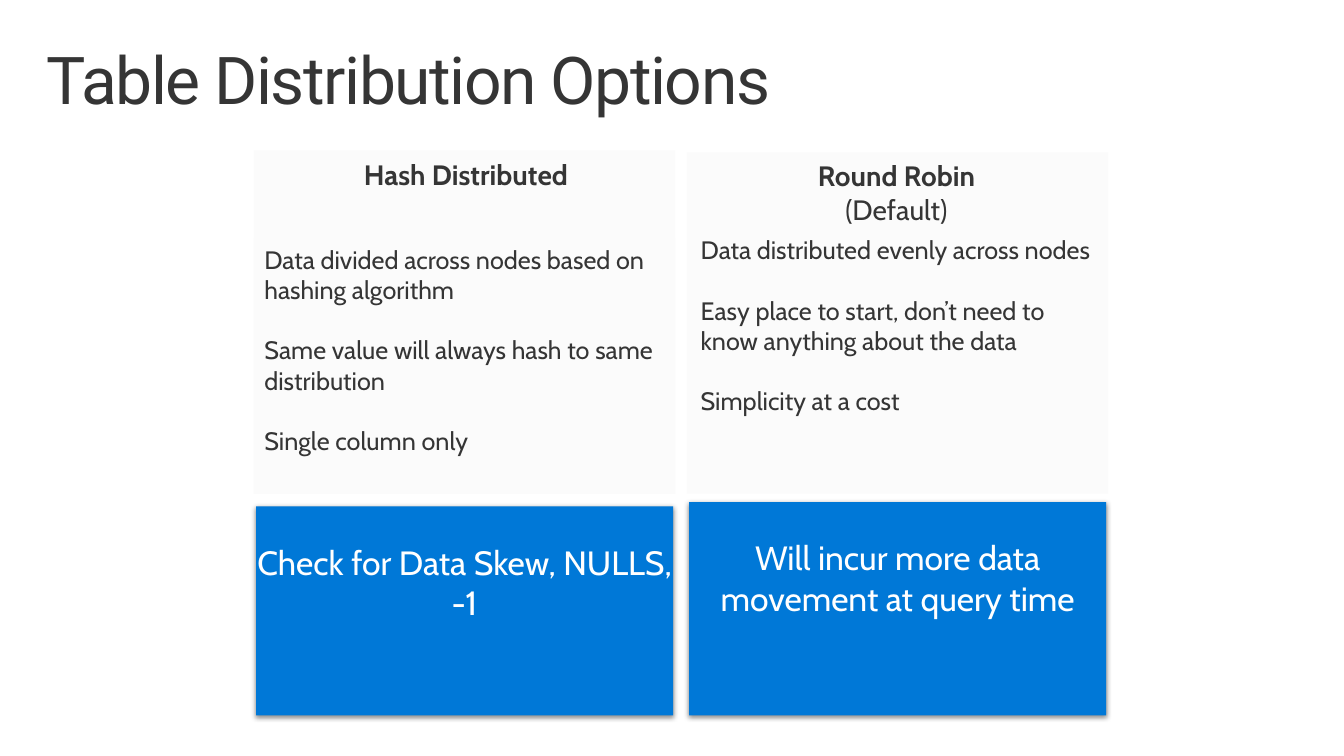
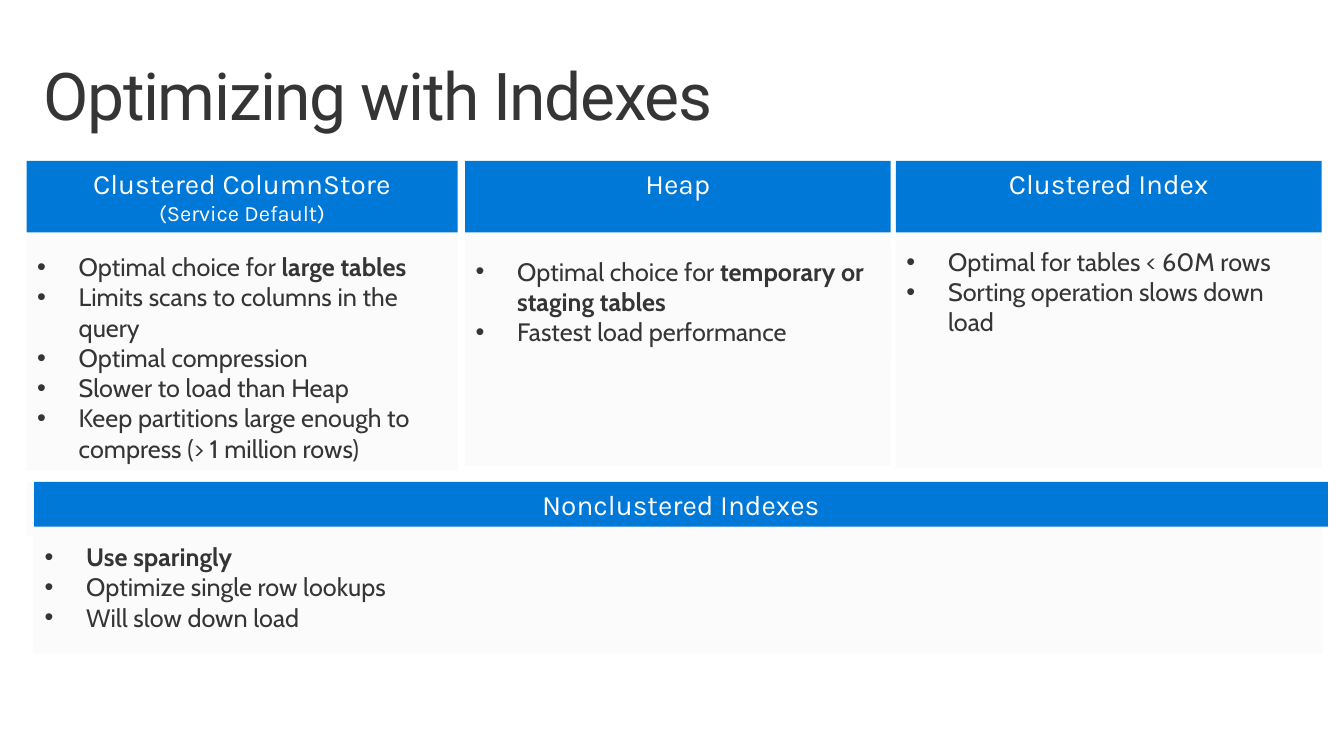
"""Builds two slides on table distribution and index choices."""
from lxml.etree import SubElement
from pptx import Presentation
from pptx.dml.color import RGBColor
from pptx.enum.shapes import MSO_SHAPE
from pptx.enum.text import MSO_ANCHOR, PP_ALIGN
from pptx.oxml.ns import qn
from pptx.util import Emu, Pt

SCALE = 9144
COLORS = {"ink": "353535", "panel": "FBFBFB", "blue": "0078D7",
          "white": "FFFFFF", "shadow": "000000"}


def px(length):
    """Turn px into EMU."""
    return Emu(length * SCALE)


def add_bullet(para, indent):
    """Give a paragraph a hanging bullet."""
    properties = para._p.get_or_add_pPr()
    properties.set("marL", str(px(indent)))
    properties.set("indent", str(-px(indent)))
    SubElement(properties, qn("a:buFont"), typeface="Arial")
    SubElement(properties, qn("a:buChar"), char="•")


def write_text(box, lines, font="Cabin", size=17, last_size=None, color="ink",
               align=PP_ALIGN.LEFT, insets=(10, 5), gap=0, bullets=False,
               line_spacing=None, tracking=None):
    """Fill a box with paragraphs; double asterisks switch bold on and off."""
    frame = box.text_frame
    frame.word_wrap = True
    frame.vertical_anchor = MSO_ANCHOR.TOP
    frame.margin_left = frame.margin_right = px(insets[0])
    frame.margin_top = px(insets[1])
    frame.margin_bottom = px(5)
    for index, line in enumerate(lines):
        para = frame.add_paragraph() if index else frame.paragraphs[0]
        para.alignment = align
        if line_spacing:
            para.line_spacing = line_spacing
        if index and gap:
            para.space_before = Pt(gap)
        if bullets:
            add_bullet(para, 39)
        points = last_size if last_size and index == len(lines) - 1 else size
        for part, text in enumerate(line.split("**")):
            if not text:
                continue
            span = para.add_run()
            span.text = text
            span.font.name = font
            span.font.size = Pt(points)
            span.font.bold = part % 2 == 1
            span.font.color.rgb = RGBColor.from_string(COLORS[color])
            if tracking:
                span._r.get_or_add_rPr().set("spc", str(tracking))


class SlideBuilder:
    """Holds the deck, the current page and the shared style."""

    def __init__(self):
        """Start an empty deck."""
        self.deck = Presentation()
        self.deck.slide_width = px(1260)
        self.deck.slide_height = px(709)
        self.page = None

    def start_page(self, title, left, top):
        """Add a page with its title."""
        self.page = self.deck.slides.add_slide(self.deck.slide_layouts[6])
        box = self.page.shapes.add_textbox(px(left), px(top), px(1086), px(95))
        write_text(box, [title], font="Roboto", size=44.5, insets=(16, 10),
                   line_spacing=0.9, tracking=-95)

    def panel(self, left, top, width, height, fill="panel"):
        """Add a plain filled rectangle."""
        box = self.page.shapes.add_shape(MSO_SHAPE.RECTANGLE, px(left), px(top),
                                         px(width), px(height))
        box.shadow.inherit = False
        box.fill.solid()
        box.fill.fore_color.rgb = RGBColor.from_string(COLORS[fill])
        box.line.fill.background()
        return box

    def heading(self, lines, left, top, width, height):
        """Add a centred heading on a panel."""
        write_text(self.panel(left, top, width, height), lines, size=18.9,
                   align=PP_ALIGN.CENTER)

    def body(self, lines, left, top, width, height, **style):
        """Add body text on a panel."""
        write_text(self.panel(left, top, width, height), lines, **style)

    def bar(self, lines, left, top, width, height):
        """Add a blue header bar."""
        write_text(self.panel(left, top, width, height, "blue"), lines,
                   font="Karla", size=18.9, color="white", align=PP_ALIGN.CENTER,
                   last_size=14.8 if len(lines) > 1 else None)

    def callout(self, text, left, top, width, height):
        """Add a blue box with a soft shadow."""
        box = self.panel(left, top, width, height, "blue")
        effects = box._element.spPr.find(qn("a:effectLst"))
        shadow = SubElement(effects, qn("a:outerShdw"), blurRad=str(Pt(3.5)),
                            dist=str(Pt(1.1)), dir="5400000", rotWithShape="0")
        color = SubElement(shadow, qn("a:srgbClr"), val=COLORS["shadow"])
        SubElement(color, qn("a:alpha"), val="45000")
        write_text(box, [text], size=22.7, color="white",
                   align=PP_ALIGN.CENTER, insets=(0, 33))


def build_distribution(builder):
    """Build the page on distribution options."""
    builder.start_page("Table Distribution Options", 28, 35)
    builder.panel(644, 143, 395, 320)
    builder.heading(["**Round Robin**", "(Default)"], 674, 144, 333, 74)
    builder.body(["Data distributed evenly across nodes",
                  "Easy place to start, don’t need to know anything about the data",
                  "Simplicity at a cost"], 647, 215, 391, 210, gap=20.4)
    builder.panel(238, 141, 395, 322)
    builder.heading(["**Hash Distributed**"], 252, 143, 370, 42)
    builder.body(["Data divided across nodes based on hashing algorithm",
                  "Same value will always hash to same distribution",
                  "Single column only"], 238, 224, 395, 239, gap=20.4)
    builder.callout("Check for Data Skew, NULLS, -1", 240, 475, 391, 196)
    builder.callout("Will incur more data movement at query time", 646, 471, 391, 200)


def build_indexes(builder):
    """Build the page on index types."""
    builder.start_page("Optimizing with Indexes", 25, 50)
    columns = [
        (25, 404, 231, 210, 441, ["Clustered ColumnStore", "(Service Default)"],
         ["Optimal choice for **large tables**",
          "Limits scans to columns in the query",
          "Optimal compression",
          "Slower to load than Heap",
          "Keep partitions large enough to compress (> 1 million rows)"]),
        (436, 399, 235, 125, 437, ["Heap"],
         ["Optimal choice for **temporary or staging tables**",
          "Fastest load performance"]),
        (840, 399, 226, 112, 439, ["Clustered Index"],
         ["Optimal for tables < 60M rows",
          "Sorting operation slows down load"]),
    ]
    for left, width, top, height, bottom, heading, points in columns:
        builder.panel(left, 195, width, bottom - 195)
        builder.bar(heading, left, 151, width, 67)
        builder.body(points, left, top, width, height, bullets=True)
    builder.panel(25, 452, 1214, 51)
    builder.panel(31, 501, 1209, 112)
    builder.bar(["Nonclustered Indexes"], 32, 452, 1213, 42)
    builder.body(["**Use sparingly**", "Optimize single row lookups",
                  "Will slow down load"], 32, 503, 1200, 96, bullets=True)


def main():
    """Build and save the deck."""
    builder = SlideBuilder()
    build_distribution(builder)
    build_indexes(builder)
    builder.deck.save("out.pptx")


if __name__ == "__main__":
    main()
